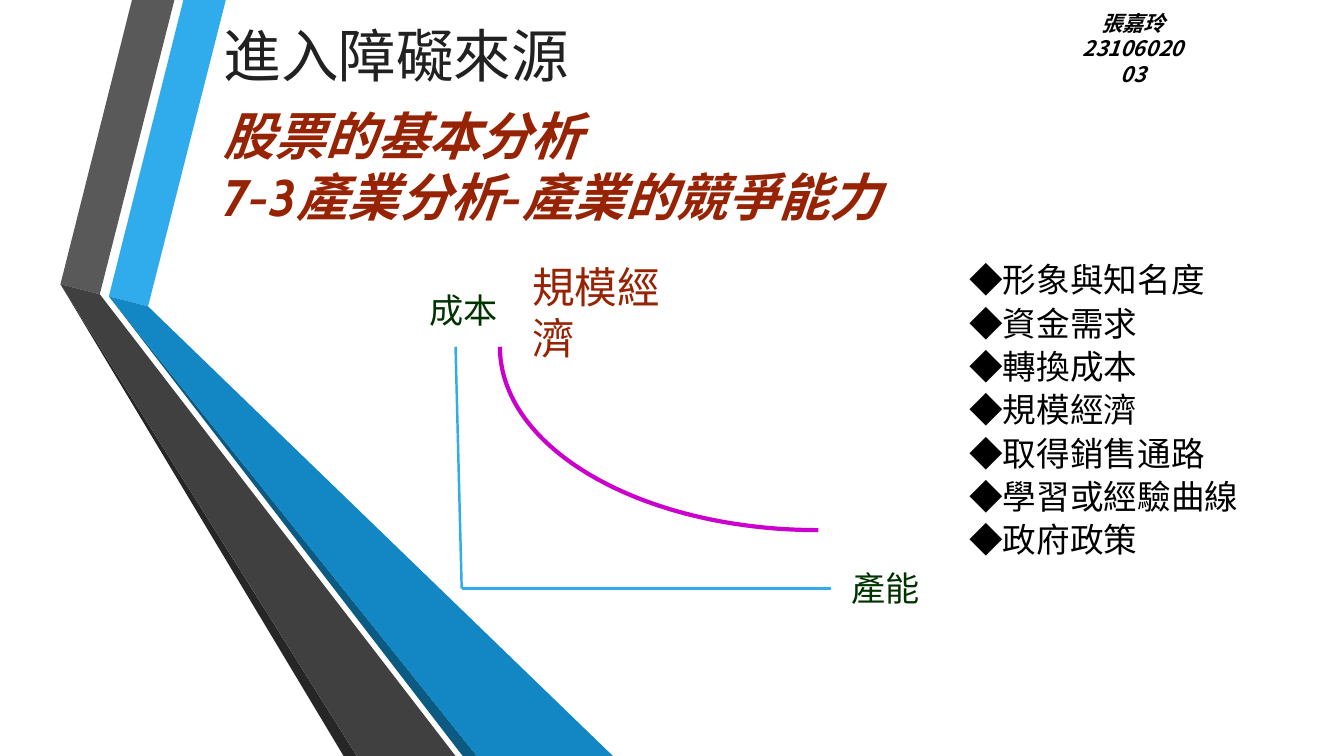
from dataclasses import dataclass

import pptx
import pptx.dml.color
import pptx.enum.text
import pptx.oxml.ns
import pptx.util
import lxml.etree

Pt = pptx.util.Pt
Align = pptx.enum.text.PP_ALIGN
Anchor = pptx.enum.text.MSO_ANCHOR


@dataclass(frozen=True)
class Theme:
    # Colours
    black: str = "000000"
    ink: str = "212121"
    rust: str = "962304"
    forest: str = "003300"
    magenta: str = "CC00CC"
    sky: str = "30ACEC"
    blue: str = "1287C3"
    navy: str = "0C5A82"
    grey: str = "595959"
    charcoal: str = "404040"
    soot: str = "262626"
    # Fonts
    body_font: str = "Cabin"
    heading_font: str = "Arial"
    label_font: str = "Noto Sans CJK SC"
    # Type sizes
    heading: float = 41.1
    title: float = 36.6
    chart_title: float = 30.5
    axis_label: float = 24.4
    body: float = 24
    author: float = 15.2


class SlideBuilder:
    def __init__(self, slide, theme):
        self.shapes = slide.shapes
        self.theme = theme

    def outline(self, points, fill=None, line=None, width=0, close=True):
        """Freeform through points given in points of length."""
        start, *rest = [(Pt(x), Pt(y)) for x, y in points]
        builder = self.shapes.build_freeform(*start)
        builder.add_line_segments(rest, close=close)
        form = builder.convert_to_shape()
        form.shadow.inherit = False
        if fill:
            form.fill.solid()
            form.fill.fore_color.rgb = pptx.dml.color.RGBColor.from_string(fill)
        else:
            form.fill.background()
        if line:
            form.line.color.rgb = pptx.dml.color.RGBColor.from_string(line)
            form.line.width = Pt(width)
        else:
            form.line.fill.background()

    def axis(self, start, end):
        connector = self.shapes.add_connector(
            pptx.enum.shapes.MSO_CONNECTOR.STRAIGHT,
            *(Pt(v) for v in (*start, *end)))
        connector.line.color.rgb = pptx.dml.color.RGBColor.from_string(self.theme.sky)
        connector.line.width = Pt(1.75)
        properties = connector._element.spPr
        lxml.etree.SubElement(properties, pptx.oxml.ns.qn("a:effectLst"))

    def text(self, box, paragraphs, size, font, color, strong=False, wrap=True,
             align=Align.LEFT, anchor=Anchor.TOP, spacing=None, before=0, after=0):
        """Text box; each paragraph is a list of lines."""
        frame = self.shapes.add_textbox(*(Pt(v) for v in box)).text_frame
        frame.word_wrap = wrap
        frame.vertical_anchor = anchor
        for index, lines in enumerate(paragraphs):
            paragraph = frame.paragraphs[0] if index == 0 else frame.add_paragraph()
            paragraph.alignment = align
            if spacing:
                paragraph.line_spacing = spacing
            if index and before:
                paragraph.space_before = Pt(before)
            if after:
                paragraph.space_after = Pt(after)
            for number, line in enumerate(lines):
                if number:
                    paragraph.add_line_break()
                run = paragraph.add_run()
                run.text = line
                run.font.size = Pt(size)
                run.font.name = font
                run.font.bold = run.font.italic = strong
                run.font.color.rgb = pptx.dml.color.RGBColor.from_string(color)
                east_asian = lxml.etree.SubElement(
                    run.font._element, pptx.oxml.ns.qn("a:ea"))
                east_asian.set("typeface", font)


def bezier(p0, p1, p2, p3, steps=48):
    """Evenly stepped points along a cubic curve."""
    points = []
    for step in range(steps + 1):
        t = step / steps
        u = 1 - t
        points.append(tuple(u**3 * a + 3 * u * u * t * b + 3 * u * t * t * c + t**3 * d
                            for a, b, c, d in zip(p0, p1, p2, p3)))
    return points


def main():
    theme = Theme()
    deck = pptx.Presentation()
    deck.slide_width, deck.slide_height = Pt(960), Pt(540)
    page = SlideBuilder(deck.slides.add_slide(deck.slide_layouts[6]), theme)

    # Folded ribbons at the left
    blue_fold, grey_fold = (77.8, 211.7), (43.2, 203)
    blue_corner, grey_corner = (105.8, 218.9), (71.3, 210.2)
    ribbons = [
        (theme.sky, [blue_fold, blue_corner, (161.3, 0), (131, 0)]),
        (theme.grey, [grey_corner, (124.6, 0), (94.3, 0), grey_fold]),
        (theme.soot, [grey_fold, (245.5, 540), (254.9, 540)]),
        (theme.navy, [blue_fold, (330.5, 540), (340.6, 540)]),
        (theme.blue, [blue_fold, (340.6, 540), (437.8, 540), blue_corner]),
        (theme.charcoal, [grey_fold, (254.9, 540), (325.4, 540), grey_corner]),
    ]
    for color, points in ribbons:
        page.outline(points, fill=color)

    # Headings
    page.text((152.6, 66.2, 636.5, 99.4),
              [["股票的基本分析", "7-3產業分析-產業的競爭能力"]],
              theme.title, theme.body_font, theme.rust, strong=True,
              anchor=Anchor.BOTTOM)
    page.text((152.6, 8.6, 470.9, 60.5), [["進入障礙來源"]],
              theme.heading, theme.heading_font, theme.ink, anchor=Anchor.MIDDLE)

    # Author
    page.text((761.8, 3.6, 95, 43.9), [["張嘉玲"], ["2310602003"]],
              theme.author, theme.label_font, theme.black, strong=True,
              align=Align.CENTER)

    # List of entry barriers
    barriers = ["形象與知名度", "資金需求", "轉換成本", "規模經濟",
                "取得銷售通路", "學習或經驗曲線", "政府政策"]
    page.text((685.4, 189.4, 233.3, 236.9), [["◆" + barrier] for barrier in barriers],
              theme.body, theme.body_font, theme.black,
              spacing=0.7, before=4.8, after=6)

    # Economies of scale: axes, labels and cost curve
    page.text((373, 182.9, 133.9, 81.4), [["規模經濟"]],
              theme.chart_title, theme.label_font, theme.rust)
    origin = (329.8, 420.5)
    page.axis((325.4, 247.7), origin)
    page.axis(origin, (593.3, 420.5))
    for label, left, top in [("成本", 299.5, 203), ("產能", 601.2, 401.8)]:
        page.text((left, top, 64.1, 36.7), [[label]],
                  theme.axis_label, theme.label_font, theme.forest, wrap=False)
    cost_curve = bezier((584.6, 378.7), (458.6, 378.7), (357.1, 320.4), (357.1, 247.7))
    page.outline(cost_curve, line=theme.magenta, width=3, close=False)

    deck.save("out.pptx")


if __name__ == "__main__":
    main()
